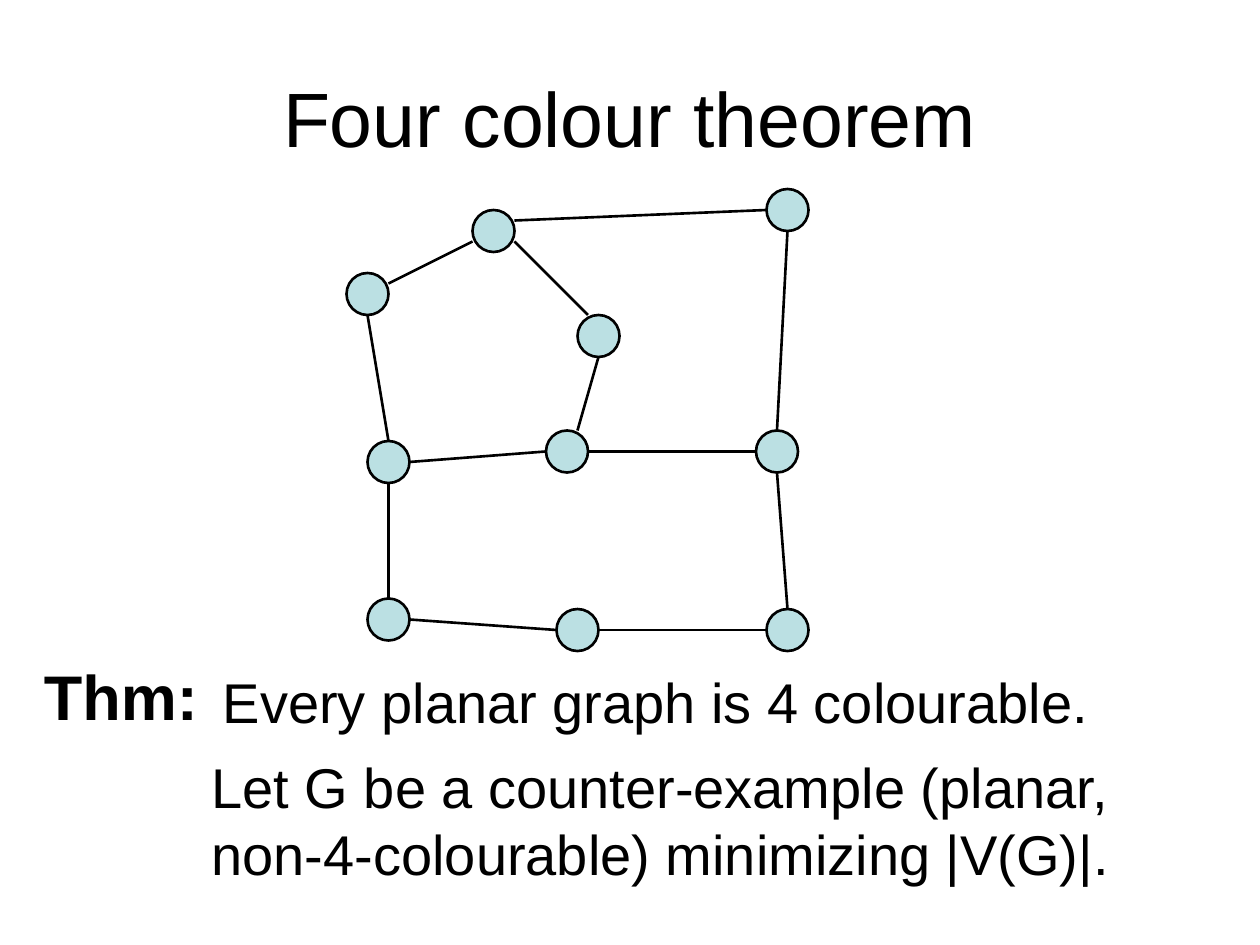
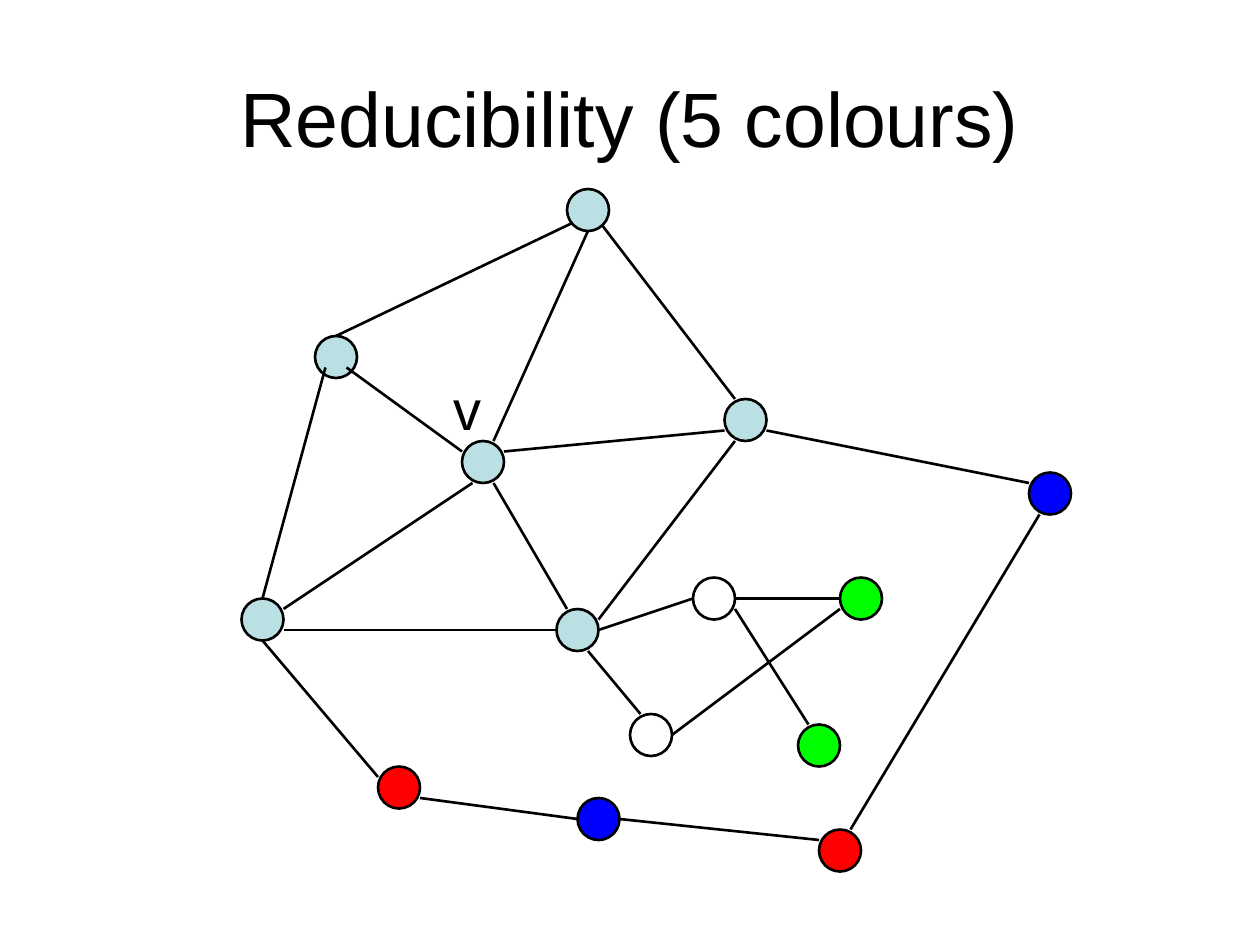
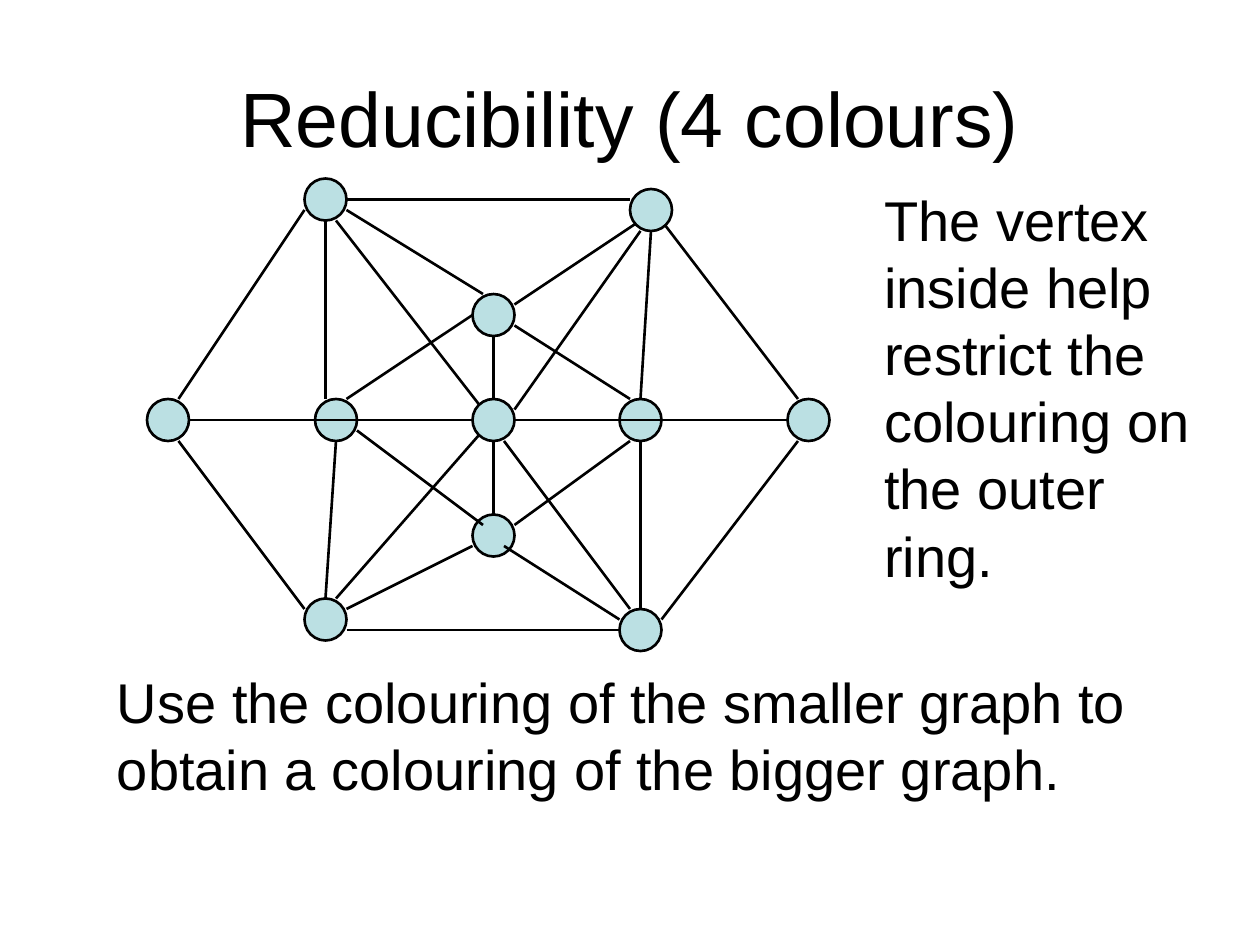
from dataclasses import dataclass

from pptx import Presentation
from pptx.dml.color import RGBColor
from pptx.enum.shapes import MSO_CONNECTOR, MSO_SHAPE
from pptx.enum.text import MSO_ANCHOR, PP_ALIGN
from pptx.oxml.ns import qn
from pptx.util import Inches, Pt
from lxml import etree

ELLIPSE = MSO_SHAPE.OVAL
STRAIGHT = MSO_CONNECTOR.STRAIGHT
TOP, MIDDLE = MSO_ANCHOR.TOP, MSO_ANCHOR.MIDDLE
LEFT, CENTER = PP_ALIGN.LEFT, PP_ALIGN.CENTER


@dataclass(frozen=True)
class Theme:
    font: str = "Arial"
    ink: str = "000000"
    vertex: str = "BBE0E3"
    red: str = "FF0000"
    blue: str = "0000FF"
    green: str = "00FF00"
    white: str = "FFFFFF"
    title_size: int = 44
    label_size: int = 36
    body_size: int = 32
    line_width: float = 1.5


THEME = Theme()
GRID = 12      # graph coordinates are twelfths of an inch
DIAMETER = 4   # vertex diameter in grid units


def grid(n):
    return Inches(n / GRID)


def rgb(color):
    return RGBColor.from_string(color)


def add_text(s, text, x, y, w, h, *, size=THEME.body_size, bold=False,
             align=LEFT, anchor=TOP, wrap=True):
    tf = s.shapes.add_textbox(Inches(x), Inches(y), Inches(w), Inches(h)).text_frame
    tf.word_wrap = wrap
    tf.vertical_anchor = anchor
    p = tf.paragraphs[0]
    p.alignment = align
    r = p.add_run()
    r.text = text
    r.font.name = THEME.font
    r.font.size = Pt(size)
    r.font.bold = bold
    r.font.color.rgb = rgb(THEME.ink)


def style_line(line):
    line.color.rgb = rgb(THEME.ink)
    line.width = Pt(THEME.line_width)


def add_vertex(s, x, y, color=THEME.vertex):
    sp = s.shapes.add_shape(ELLIPSE, grid(x), grid(y), grid(DIAMETER), grid(DIAMETER))
    sp.shadow.inherit = False
    sp.fill.solid()
    sp.fill.fore_color.rgb = rgb(color)
    style_line(sp.line)


def add_edge(s, x1, y1, x2, y2):
    edge = s.shapes.add_connector(STRAIGHT, grid(x1), grid(y1), grid(x2), grid(y2))
    style_line(edge.line)
    etree.SubElement(edge._element.spPr, qn("a:effectLst"))


def add_graph(s, edges, back=(), front=()):
    """Draw the edges between the vertices behind and in front of them."""
    for vertex in back:
        add_vertex(s, *vertex)
    for edge in edges:
        add_edge(s, *edge)
    for vertex in front:
        add_vertex(s, *vertex)


def add_slide(prs, title):
    s = prs.slides.add_slide(prs.slide_layouts[6])
    add_text(s, title, 0.5, 0.3, 9, 1.25, size=THEME.title_size,
             align=CENTER, anchor=MIDDLE)
    return s


def four_colour_theorem(prs):
    s = add_slide(prs, "Four colour theorem")
    vertices = [(45, 20), (55, 30), (35, 42), (33, 26), (52, 41),
                (72, 41), (35, 57), (53, 58), (73, 58), (73, 18)]
    edges = [
        # Pentagon
        (49, 23, 56, 30), (45, 23, 37, 27), (35, 30, 37, 42),
        (39, 44, 52, 43), (57, 34, 55, 41),
        # Lower face
        (37, 46, 37, 57), (39, 59, 53, 60), (57, 60, 73, 60),
        (75, 58, 74, 45), (56, 43, 72, 43),
        # Right face
        (75, 22, 74, 41), (49, 21, 73, 20),
    ]
    add_graph(s, edges, back=vertices)
    add_text(s, "Every planar graph is 4 colourable.", 1.67, 5.25, 8.08, 0.64)
    add_text(s, "Let G be a counter-example (planar, non-4-colourable) "
                "minimizing |V(G)|.", 1.58, 5.92, 8.08, 1.17)
    add_text(s, "Thm:", 0.25, 5.17, 1.92, 0.7, size=THEME.label_size, bold=True)


def five_colours(prs):
    s = add_slide(prs, "Reducibility (5 colours)")
    back = [(30, 32), (44, 42)]
    front = [
        (23, 57), (54, 18), (53, 58), (69, 38),
        (36, 73, THEME.red), (78, 79, THEME.red),
        (98, 45, THEME.blue), (55, 76, THEME.blue),
        (66, 55, THEME.white), (60, 68, THEME.white),
        (80, 55, THEME.green), (76, 69, THEME.green),
    ]
    edges = [
        # Spokes from v
        (44, 43, 33, 35), (47, 46, 54, 58), (56, 22, 47, 42),
        (69, 41, 48, 43), (45, 46, 27, 58),
        # Ring around v
        (32, 32, 55, 21), (25, 57, 31, 35), (57, 59, 70, 42),
        (70, 38, 57, 21), (27, 60, 53, 60),
        # Red and blue chain
        (25, 61, 36, 74), (40, 76, 55, 78), (59, 78, 78, 80),
        (81, 79, 99, 49), (73, 41, 98, 46),
        # White and green component
        (56, 62, 61, 68), (57, 60, 66, 57), (70, 58, 77, 69),
        (64, 70, 80, 58), (70, 57, 80, 57),
    ]
    add_graph(s, edges, back, front)
    add_text(s, "v", 3.5, 2.92, 0.42, 0.64, wrap=False)


def four_colours(prs):
    s = add_slide(prs, "Reducibility (4 colours)")
    back = [(45, 49), (30, 38), (59, 38)]
    front = [(45, 28), (29, 17), (14, 38), (29, 57), (59, 58),
             (75, 38), (45, 38), (60, 18)]
    edges = [
        # Inner ring
        (34, 41, 46, 50), (49, 50, 60, 42), (60, 38, 49, 31), (45, 30, 33, 38),
        # Inner ring to outer ring
        (46, 28, 33, 20), (49, 29, 61, 21), (31, 38, 31, 21), (30, 40, 18, 40),
        (48, 52, 59, 59), (32, 42, 31, 57), (33, 58, 45, 52), (61, 42, 61, 58),
        (62, 22, 61, 38), (63, 40, 75, 40),
        # Outer ring
        (63, 59, 76, 42), (76, 38, 63, 21), (29, 20, 17, 38),
        (17, 42, 29, 58), (33, 60, 59, 60), (33, 19, 60, 19),
        # Spokes from the centre
        (47, 32, 47, 49), (49, 39, 61, 22), (48, 40, 75, 40), (48, 42, 60, 58),
        (45, 40, 18, 40), (46, 39, 32, 21), (46, 41, 32, 57),
    ]
    add_graph(s, edges, back, front)
    add_text(s, "Use the colouring of the smaller graph to obtain a colouring "
                "of the bigger graph.", 0.83, 5.25, 8.67, 1.17)
    add_text(s, "The vertex inside help restrict the colouring on the outer ring.",
             6.92, 1.42, 2.75, 3.3)


def main():
    prs = Presentation()
    prs.slide_width, prs.slide_height = Inches(10), Inches(7.5)
    four_colour_theorem(prs)
    five_colours(prs)
    four_colours(prs)
    prs.save("out.pptx")


if __name__ == "__main__":
    main()
